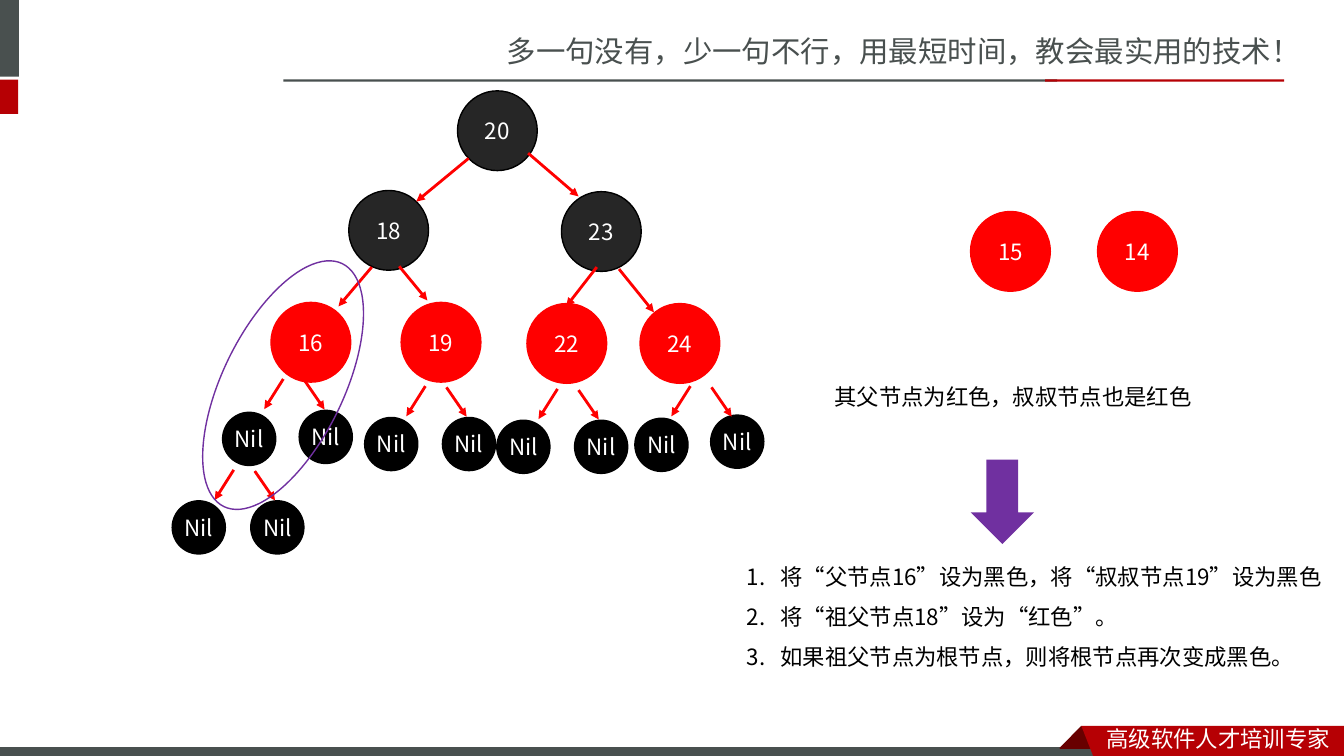
import pptx
import pptx.dml.color
import pptx.enum.shapes
import pptx.enum.text
import pptx.oxml.ns
import pptx.util
import lxml.etree

Cm = pptx.util.Cm
Pt = pptx.util.Pt
RGB = pptx.dml.color.RGBColor
SHAPE = pptx.enum.shapes.MSO_SHAPE
ALIGN = pptx.enum.text.PP_ALIGN
qn = pptx.oxml.ns.qn

FONT = "Noto Sans CJK SC"
WHITE = RGB(0xFF, 0xFF, 0xFF)
BLACK = RGB(0x00, 0x00, 0x00)
CHARCOAL = RGB(0x26, 0x26, 0x26)
RED = RGB(0xFF, 0x00, 0x00)
PURPLE = RGB(0x70, 0x30, 0xA0)
GREY = RGB(0x49, 0x50, 0x4F)
CRIMSON = RGB(0xB6, 0x00, 0x04)
MAROON = RGB(0x68, 0x00, 0x00)

SLOGAN = "多一句没有，少一句不行，用最短时间，教会最实用的技术！"
FOOTER = "高级软件人才培训专家"
CASE = "其父节点为红色，叔叔节点也是红色"
STEPS = [
    "将“父节点16”设为黑色，将“叔叔节点19”设为黑色",
    "将“祖父节点18”设为“红色”。",
    "如果祖父节点为根节点，则将根节点再次变成黑色。",
]

BARS = [
    (-0.15, 0, 0.63, 1.93, GREY, None),
    (-0.15, 2.01, 0.61, 0.86, CRIMSON, None),
    (7.14, 2.0, 19.5, 0.06, GREY, None),
    (26.34, 2.0, 6.02, 0.06, CRIMSON, None),
    (-0.03, 18.82, 27.94, 0.3, GREY, WHITE),
]
RIBBON_FOLD = [(27.25, 18.29), (27.81, 18.85), (27.79, 18.87), (26.72, 18.87), (26.7, 18.85)]
RIBBON = [(27.25, 18.29), (33.87, 18.29), (33.87, 19.15), (27.58, 19.13)]

NODE_SIZE, NIL_SIZE = 2.01, 1.34
BLACK_NODES = [("20", 11.53, 2.29), ("18", 8.79, 4.8), ("23", 14.15, 4.83)]
RED_NODES = [
    ("16", 6.83, 7.62), ("19", 10.11, 7.62), ("22", 13.28, 7.65),
    ("24", 16.13, 7.65), ("15", 24.46, 5.33), ("14", 27.66, 5.33),
]
NILS = [
    (5.61, 10.39), (7.54, 10.34), (9.19, 10.52), (11.15, 10.52), (12.52, 10.59),
    (14.48, 10.59), (16.0, 10.54), (17.91, 10.46), (4.34, 12.62), (6.32, 12.62),
]
BRANCHES = [
    (11.81, 3.99, 10.49, 5.08), (13.31, 3.86, 14.58, 4.95),
    (9.37, 6.73, 8.53, 7.72), (10.06, 6.71, 10.77, 7.57),
    (15.04, 6.73, 14.27, 7.72), (15.6, 6.78, 16.48, 7.87),
]
LEAF_FORKS = [(7.14, 9.55), (10.72, 9.73), (14.05, 9.8), (17.4, 9.73), (5.89, 11.84)]

prs = pptx.Presentation()
prs.slide_width, prs.slide_height = Cm(33.87), Cm(19.05)
s = prs.slides.add_slide(prs.slide_layouts[6])


def paint(sp, fill, line=None, width=1):
    sp.shadow.inherit = False
    if fill is None:
        sp.fill.background()
    else:
        sp.fill.solid()
        sp.fill.fore_color.rgb = fill
    if line is None:
        sp.line.fill.background()
    else:
        sp.line.color.rgb = line
        sp.line.width = Pt(width)


def add_shape(kind, x, y, w, h, fill, line=None, width=1):
    sp = s.shapes.add_shape(kind, Cm(x), Cm(y), Cm(w), Cm(h))
    paint(sp, fill, line, width)
    return sp


def add_run(p, text, color, size=16):
    r = p.add_run()
    r.text = text
    r.font.size = Pt(size)
    r.font.color.rgb = color
    r.font.name = FONT
    lxml.etree.SubElement(r.font._element, qn("a:ea")).set("typeface", FONT)


def add_text(x, y, w, h, lines, color, size=16, spacing=None, wrap=True, numbered=False):
    tf = s.shapes.add_textbox(Cm(x), Cm(y), Cm(w), Cm(h)).text_frame
    tf.word_wrap = wrap
    for i, line in enumerate(lines):
        p = tf.paragraphs[0] if i == 0 else tf.add_paragraph()
        if spacing:
            p.line_spacing = spacing
        if numbered:
            pPr = p._p.get_or_add_pPr()
            pPr.set("marL", str(Cm(0.85)))
            pPr.set("indent", str(-Cm(0.85)))
            lxml.etree.SubElement(pPr, qn("a:buFont")).set("typeface", FONT)
            lxml.etree.SubElement(pPr, qn("a:buAutoNum")).set("type", "arabicPeriod")
        add_run(p, line, color, size)


def add_node(label, x, y, size, fill, line):
    sp = add_shape(SHAPE.OVAL, x, y, size, size, fill, line)
    tf = sp.text_frame
    tf.margin_left = tf.margin_right = tf.margin_top = tf.margin_bottom = 0
    tf.word_wrap = False
    tf.vertical_anchor = pptx.enum.text.MSO_ANCHOR.MIDDLE
    p = tf.paragraphs[0]
    p.alignment = ALIGN.CENTER
    add_run(p, label, WHITE)


def add_arrow(x1, y1, x2, y2):
    cn = s.shapes.add_connector(
        pptx.enum.shapes.MSO_CONNECTOR.STRAIGHT, Cm(x1), Cm(y1), Cm(x2), Cm(y2))
    cn.line.color.rgb = RED
    cn.line.width = Pt(2)
    lxml.etree.SubElement(cn.line._get_or_add_ln(), qn("a:tailEnd")).set("type", "triangle")
    lxml.etree.SubElement(cn._element.spPr, qn("a:effectLst"))


def add_outline(points, fill):
    pts = [(Cm(x), Cm(y)) for x, y in points]
    fb = s.shapes.build_freeform(*pts[0])
    fb.add_line_segments(pts[1:], close=True)
    paint(fb.convert_to_shape(), fill)


add_text(12.52, 0.71, 21.35, 1.19, [SLOGAN], GREY, size=21)
for x, y, w, h, fill, line in BARS:
    add_shape(SHAPE.RECTANGLE, x, y, w, h, fill, line, 0.75)
add_outline(RIBBON_FOLD, MAROON)
add_outline(RIBBON, CRIMSON)
add_text(27.64, 18.16, 6.22, 0.94, [FOOTER], WHITE)

for label, x, y in BLACK_NODES:
    add_node(label, x, y, NODE_SIZE, CHARCOAL, BLACK)
for label, x, y in RED_NODES:
    add_node(label, x, y, NODE_SIZE, RED, RED)
for x, y in NILS:
    add_node("Nil", x, y, NIL_SIZE, BLACK, BLACK)

for branch in BRANCHES:
    add_arrow(*branch)
for x, y in LEAF_FORKS:
    add_arrow(x, y, x - 0.48, y + 0.76)
    add_arrow(x + 0.53, y + 0.03, x + 1.04, y + 0.77)

add_text(20.78, 9.19, 9.63, 1.17, [CASE], BLACK, spacing=1.5, wrap=False)
add_shape(SHAPE.DOWN_ARROW, 24.46, 11.58, 1.6, 2.13, PURPLE)
add_text(18.57, 13.72, 15.24, 3.23, STEPS, BLACK, spacing=1.5, numbered=True)
highlight = add_shape(SHAPE.OVAL, 5.61, 6.3, 3.05, 6.81, None, PURPLE)
highlight.rotation = 26

prs.save("out.pptx")
